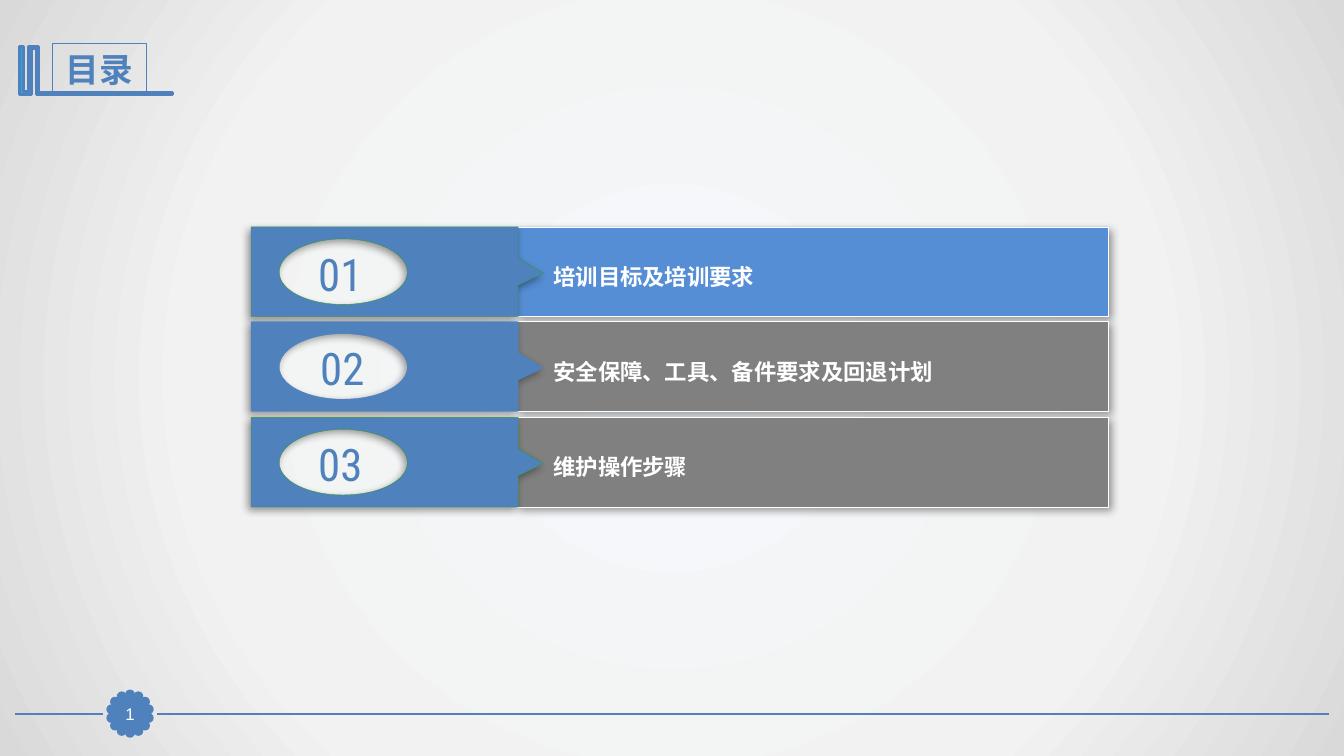
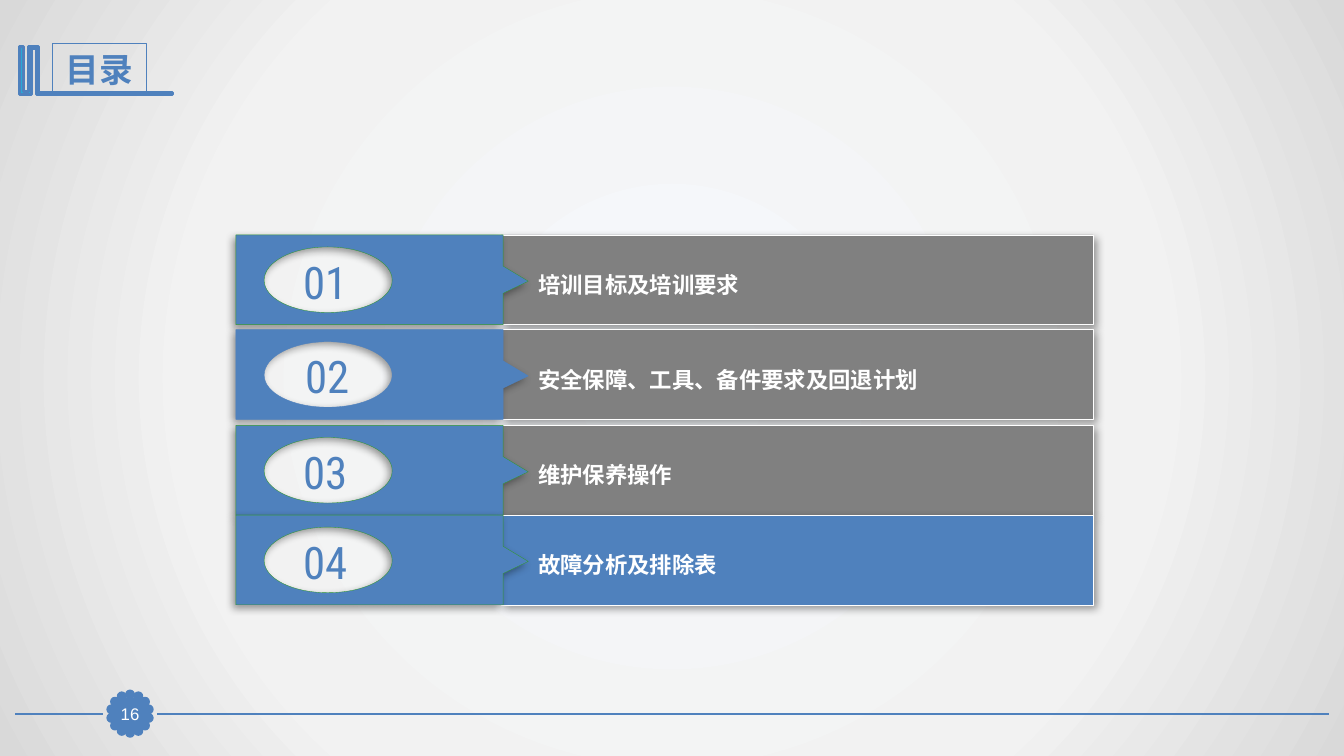
from dataclasses import dataclass
from math import cos, pi, sin

from pptx import Presentation
from pptx.dml.color import RGBColor
from pptx.enum.shapes import MSO_CONNECTOR, MSO_SHAPE
from pptx.enum.text import MSO_ANCHOR, MSO_AUTO_SIZE, PP_ALIGN
from pptx.oxml import parse_xml
from pptx.oxml.ns import nsdecls, qn
from pptx.util import Inches, Pt

BLUE = RGBColor(0x4F, 0x81, 0xBD)
BRIGHT_BLUE = RGBColor(0x55, 0x8E, 0xD5)
CYAN = RGBColor(0x28, 0xA9, 0xD6)
GRAY = RGBColor(0x80, 0x80, 0x80)
GREEN = RGBColor(0x33, 0x99, 0x33)
WHITE = RGBColor(0xFF, 0xFF, 0xFF)
BACKGROUND_STOPS = (
    (0, RGBColor(0xF6, 0xF9, 0xFC)),
    (63, RGBColor(0xF2, 0xF2, 0xF2)),
    (100, RGBColor(0xD9, 0xD9, 0xD9)),
)

HEADING_FONT = "Roboto Condensed"
BODY_FONT = "Arial"
RECTANGLE = MSO_SHAPE.RECTANGLE
OVAL = MSO_SHAPE.OVAL
STRAIGHT = MSO_CONNECTOR.STRAIGHT
MIDDLE = MSO_ANCHOR.MIDDLE
TOP = MSO_ANCHOR.TOP
CENTER = PP_ALIGN.CENTER
LEFT = PP_ALIGN.LEFT
NO_AUTOFIT = MSO_AUTO_SIZE.NONE

TITLE = "目录"
TITLE_ONLY_LAYOUT = 5
FOOTER_Y = 7.08
BADGE_X = 1.29
SCALLOP_COUNT = 14
SCALLOP_SIZE = 0.07
SCALLOP_RADIUS = 0.19
ROW_HEIGHT = 0.89
BAR_INDENT = 2.63
BAR_WIDTH = 5.87
LABEL_INDENT = 2.9
LABEL_WIDTH = 5.61

BOOK_OUTLINE = (
    (0.37, 0.46), (0.38, 0.46), (0.38, 0.92), (1.71, 0.92), (1.71, 0.94),
    (0.37, 0.94), (0.36, 0.94), (0.36, 0.48), (0.31, 0.48), (0.31, 0.94),
    (0.19, 0.94), (0.19, 0.46), (0.23, 0.46), (0.23, 0.91), (0.28, 0.91),
    (0.28, 0.46),
)
TAB_OUTLINE = (
    (0, 0), (2.65, 0), (2.65, 0.31), (2.9, 0.46),
    (2.65, 0.58), (2.65, ROW_HEIGHT), (0, ROW_HEIGHT),
)
HOLE_START = (0.91, 0.12)
HOLE_CURVES = (
    ((0.56, 0.12), (0.28, 0.27), (0.28, 0.45)),
    ((0.28, 0.63), (0.56, 0.77), (0.91, 0.77)),
    ((1.27, 0.77), (1.55, 0.63), (1.55, 0.45)),
    ((1.55, 0.27), (1.27, 0.12), (0.91, 0.12)),
)


@dataclass(frozen=True)
class AgendaRow:
    number: str
    label: str
    top: float
    bar_color: RGBColor = GRAY
    outline_color: RGBColor = GREEN
    number_indent: float = 0.38


@dataclass(frozen=True)
class AgendaSlide:
    page_number: str
    left: float
    rows: tuple[AgendaRow, ...]


AGENDA_SLIDES = (
    AgendaSlide("1", 2.49, (
        AgendaRow("01", "培训目标及培训要求", 2.25, BRIGHT_BLUE),
        AgendaRow("02", "安全保障、工具、备件要求及回退计划", 3.19,
                  outline_color=BLUE, number_indent=0.4),
        AgendaRow("03", "维护操作步骤", 4.14),
    )),
    AgendaSlide("16", 2.34, (
        AgendaRow("01", "培训目标及培训要求", 2.33),
        AgendaRow("02", "安全保障、工具、备件要求及回退计划", 3.27,
                  outline_color=BLUE, number_indent=0.4),
        AgendaRow("03", "维护保养操作", 4.22),
        AgendaRow("04", "故障分析及排除表", 5.11, BLUE),
    )),
)


def box(left: float, top: float, width: float, height: float) -> tuple:
    return Inches(left), Inches(top), Inches(width), Inches(height)


def style_shape(shape, fill: RGBColor, line: RGBColor, line_width: float) -> None:
    shape.shadow.inherit = False
    shape.fill.solid()
    shape.fill.fore_color.rgb = fill
    shape.line.color.rgb = line
    shape.line.width = Pt(line_width)


def add_shadow(shape, angle: int) -> None:
    effects = shape.element.spPr.find(qn("a:effectLst"))
    effects.append(parse_xml(
        f'<a:outerShdw {nsdecls("a")} blurRad="{Pt(6)}" dist="{Pt(3)}" '
        f'dir="{angle * 60000}" algn="ctr" rotWithShape="0">'
        '<a:srgbClr val="000000"><a:alpha val="40000"/></a:srgbClr>'
        '</a:outerShdw>'
    ))


def write_text(shape, text: str, font_name: str, size: int, color: RGBColor,
               bold: bool = False, alignment=CENTER, anchor=MIDDLE) -> None:
    frame = shape.text_frame
    frame.word_wrap = True
    frame.auto_size = NO_AUTOFIT
    frame.vertical_anchor = anchor
    paragraph = frame.paragraphs[0]
    paragraph.alignment = alignment
    run = paragraph.add_run()
    run.text = text
    run.font.name = font_name
    run.font.size = Pt(size)
    run.font.bold = bold
    run.font.color.rgb = color


def add_outline(shapes, outline: tuple, left: float = 0, top: float = 0):
    points = [(Inches(left + x), Inches(top + y)) for x, y in outline]
    builder = shapes.build_freeform(*points[0])
    builder.add_line_segments(points[1:], close=True)
    return builder.convert_to_shape()


def point_xml(point: tuple[float, float]) -> str:
    return f'<a:pt x="{Inches(point[0])}" y="{Inches(point[1])}"/>'


def cut_oval_hole(tab) -> None:
    curves = "".join(
        f'<a:cubicBezTo>{"".join(map(point_xml, curve))}</a:cubicBezTo>'
        for curve in HOLE_CURVES
    )
    hole = parse_xml(
        f'<a:path {nsdecls("a")}><a:moveTo>{point_xml(HOLE_START)}</a:moveTo>'
        f'{curves}<a:close/></a:path>'
    )
    outline = next(tab.element.iter(qn("a:path")))
    for index, command in enumerate(list(hole)):
        outline.insert(index, command)


def set_background(master) -> None:
    common_data = master.element.cSld
    old_background = common_data.find(qn("p:bg"))
    if old_background is not None:
        common_data.remove(old_background)
    stops = "".join(
        f'<a:gs pos="{position * 1000}"><a:srgbClr val="{color}"/></a:gs>'
        for position, color in BACKGROUND_STOPS
    )
    common_data.insert(0, parse_xml(
        f'<p:bg {nsdecls("p", "a")}><p:bgPr><a:gradFill rotWithShape="1">'
        f'<a:gsLst>{stops}</a:gsLst><a:path path="circle">'
        '<a:fillToRect l="50000" t="50000" r="50000" b="50000"/></a:path>'
        '</a:gradFill><a:effectLst/></p:bgPr></p:bg>'
    ))


def add_footer_line(shapes, start: float, end: float):
    line = shapes.add_connector(
        STRAIGHT, Inches(start), Inches(FOOTER_Y), Inches(end), Inches(FOOTER_Y))
    line.line.color.rgb = BLUE
    line.line.width = Pt(1.25)
    line.element.spPr.append(parse_xml(f'<a:effectLst {nsdecls("a")}/>'))
    return line


def add_badge(shapes):
    badge = shapes.add_group_shape()
    for index in range(SCALLOP_COUNT):
        angle = 2 * pi * index / SCALLOP_COUNT
        scallop = badge.shapes.add_shape(OVAL, *box(
            BADGE_X + SCALLOP_RADIUS * sin(angle) - SCALLOP_SIZE / 2,
            FOOTER_Y - SCALLOP_RADIUS * cos(angle) - SCALLOP_SIZE / 2,
            SCALLOP_SIZE, SCALLOP_SIZE))
        style_shape(scallop, BLUE, BLUE, 2)
    return badge


def move_decoration_to_layout(slide, layout) -> None:
    book = add_outline(slide.shapes, BOOK_OUTLINE)
    style_shape(book, CYAN, BLUE, 2)
    decoration = (
        add_footer_line(slide.shapes, 13.18, 1.56),
        add_footer_line(slide.shapes, 1.02, 0.15),
        add_badge(slide.shapes),
        book,
    )
    next_id = 100
    for shape in decoration:
        for properties in shape.element.iter(qn("p:cNvPr")):
            properties.set("id", str(next_id))
            next_id += 1
        layout.shapes.element.append(shape.element)


def add_title(slide) -> None:
    title = slide.shapes.title
    title.left, title.top, title.width, title.height = box(0.52, 0.43, 0.93, 0.51)
    title.line.color.rgb = BLUE
    title.line.width = Pt(0.75)
    write_text(title, TITLE, HEADING_FONT, 24, BLUE, bold=True)


def add_page_number(slide, number: str) -> None:
    plate = slide.shapes.add_shape(RECTANGLE, *box(1.13, 6.93, 0.32, 0.31))
    style_shape(plate, BLUE, BLUE, 0.75)
    frame = plate.text_frame
    frame.margin_left = frame.margin_right = 0
    frame.margin_top = frame.margin_bottom = 0
    write_text(plate, number, BODY_FONT, 12, WHITE)


def add_agenda_row(slide, left: float, row: AgendaRow) -> None:
    shapes = slide.shapes.add_group_shape().shapes
    bar = shapes.add_shape(RECTANGLE, *box(
        left + BAR_INDENT, row.top, BAR_WIDTH, ROW_HEIGHT))
    style_shape(bar, row.bar_color, WHITE, 0.25)
    add_shadow(bar, 45)

    tab = add_outline(shapes, TAB_OUTLINE, left, row.top)
    cut_oval_hole(tab)
    style_shape(tab, BLUE, row.outline_color, 0.25)
    add_shadow(tab, 135)

    number = shapes.add_textbox(*box(
        left + row.number_indent, row.top + 0.14, 1.01, 0.64))
    write_text(number, row.number, HEADING_FONT, 32, BLUE)

    label = shapes.add_textbox(*box(
        left + LABEL_INDENT, row.top + 0.31, LABEL_WIDTH, 0.37))
    write_text(label, row.label, BODY_FONT, 16, WHITE, bold=True,
               alignment=LEFT, anchor=TOP)


def main() -> None:
    presentation = Presentation()
    presentation.slide_width = Inches(13.33)
    presentation.slide_height = Inches(7.5)
    set_background(presentation.slide_master)
    layout = presentation.slide_layouts[TITLE_ONLY_LAYOUT]
    for index, agenda in enumerate(AGENDA_SLIDES):
        slide = presentation.slides.add_slide(layout)
        if index == 0:
            move_decoration_to_layout(slide, layout)
        add_title(slide)
        add_page_number(slide, agenda.page_number)
        for row in agenda.rows:
            add_agenda_row(slide, agenda.left, row)
    presentation.save("out.pptx")


if __name__ == "__main__":
    main()
